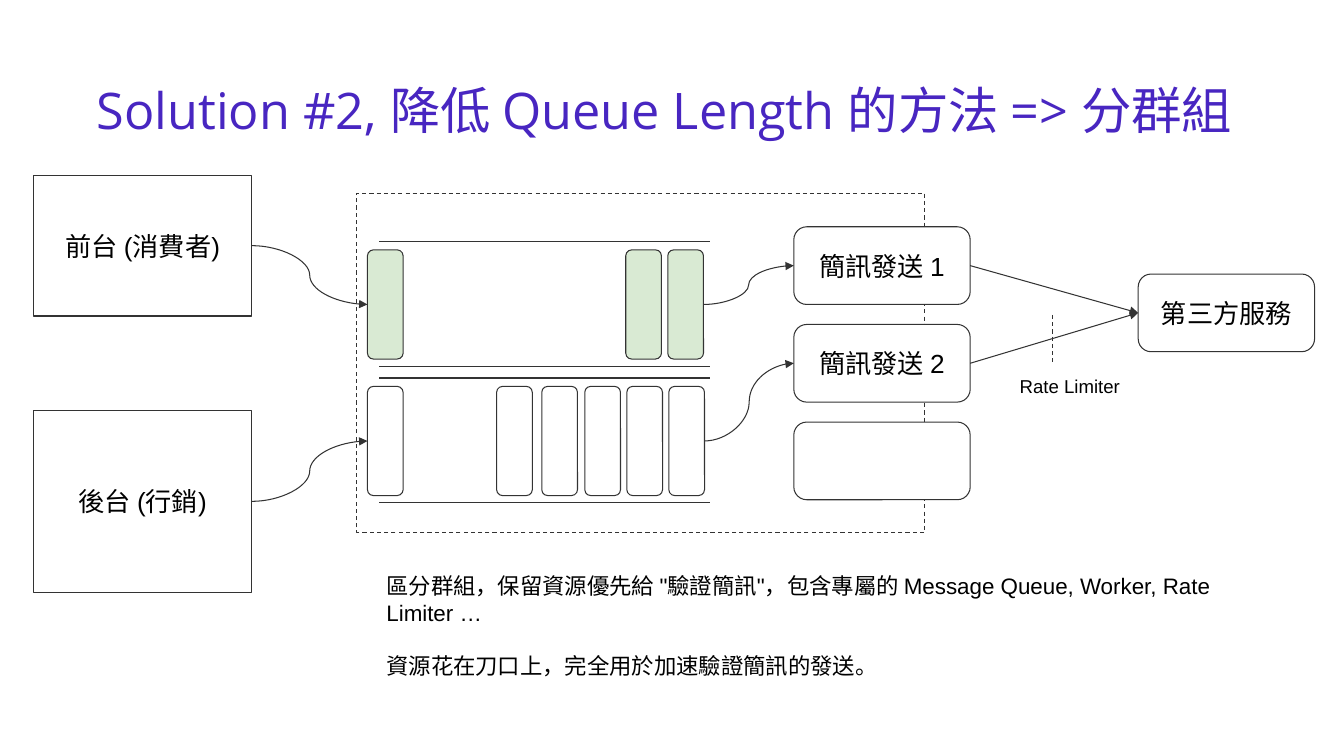
from lxml import etree
from pptx import Presentation
from pptx import util as u
from pptx.dml.color import RGBColor
from pptx.enum import dml, shapes, text
from pptx.oxml.ns import qn

PX = 9525  # EMU per px, 1280 x 720 slide
INK = RGBColor(0x33, 0x33, 0x33)
BLACK = RGBColor(0, 0, 0)
WHITE = RGBColor(0xFF, 0xFF, 0xFF)
GREEN = RGBColor(0xD9, 0xEA, 0xD3)
VIOLET = RGBColor(0x48, 0x26, 0xC1)

RECT = shapes.MSO_SHAPE.RECTANGLE
ROUND = shapes.MSO_SHAPE.ROUNDED_RECTANGLE
LINE = shapes.MSO_CONNECTOR.STRAIGHT
CURVE = shapes.MSO_CONNECTOR.CURVE
LEFT, RIGHT = 1, 3  # connection sites


def emu(*vals):
    return [u.Emu(v * PX) for v in vals]


def pad(frame, size):
    frame.margin_left = frame.margin_right = u.Emu(size * PX)
    frame.margin_top = frame.margin_bottom = u.Emu(size * PX)
    frame.word_wrap = True


def style(para, size, color=BLACK, name="Arial"):
    para.font.size = u.Pt(size)
    para.font.name = name
    para.font.color.rgb = color


def stroke(line, dash=False):
    line.color.rgb = INK
    line.width = u.Pt(0.75)
    if dash:
        line.dash_style = dml.MSO_LINE.DASH


def box(slide, kind, area, label="", fill=WHITE, dash=False):
    shape = slide.shapes.add_shape(kind, *emu(*area))
    shape.shadow.inherit = False
    shape.fill.solid()
    shape.fill.fore_color.rgb = fill
    stroke(shape.line, dash)
    if label:
        frame = shape.text_frame
        pad(frame, 12)
        frame.vertical_anchor = text.MSO_ANCHOR.MIDDLE
        para = frame.paragraphs[0]
        para.text = label
        para.alignment = text.PP_ALIGN.CENTER
        style(para, 18.7)
    return shape


def flat(wire):
    etree.SubElement(wire._element.spPr, qn("a:effectLst"))


def rule(slide, ends, dash=False):
    wire = slide.shapes.add_connector(LINE, *emu(*ends))
    stroke(wire.line, dash)
    flat(wire)


def arrow(slide, kind, start, end):
    wire = slide.shapes.add_connector(kind, 0, 0, 0, 0)
    wire.begin_connect(start, RIGHT)
    wire.end_connect(end, LEFT)
    stroke(wire.line)
    tail = etree.SubElement(wire.line._get_or_add_ln(), qn("a:tailEnd"))
    tail.set("type", "triangle")
    flat(wire)


def note(slide, area, size, lines):
    frame = slide.shapes.add_textbox(*emu(*area)).text_frame
    pad(frame, 12)
    for i, line in enumerate(lines):
        para = frame.add_paragraph() if i else frame.paragraphs[0]
        para.text = line
        style(para, size)
        if i:
            para.space_before = u.Pt(19)


def queue(slide, top, lefts, fill):
    """Two rails with message slots between; returns first and last slot."""
    for y in (top, top + 119):
        rule(slide, (361, y, 676, y))
    slots = [box(slide, ROUND, (x, top + 8, 34, 104), fill=fill)
             for x in lefts]
    return slots[0], slots[-1]


def heading(slide, words):
    title = slide.shapes.title
    title.left, title.top, title.width, title.height = emu(88, 38, 1104, 139)
    frame = title.text_frame
    pad(frame, 4)
    frame.auto_size = text.MSO_AUTO_SIZE.NONE
    frame.vertical_anchor = text.MSO_ANCHOR.MIDDLE
    para = frame.paragraphs[0]
    para.text = words
    para.alignment = text.PP_ALIGN.LEFT
    para.line_spacing = 0.9
    style(para, 36, VIOLET, "Open Sans")


def main():
    deck = Presentation()
    deck.slide_width, deck.slide_height = emu(1280, 720)
    slide = deck.slides.add_slide(deck.slide_layouts[5])
    heading(slide, "Solution #2, 降低 Queue Length 的方法 => 分群組")

    # Service boundary, workers and outside service
    box(slide, RECT, (340, 184, 541, 323), dash=True)
    names = ("簡訊發送 1", "簡訊發送 2", "")
    workers = [box(slide, ROUND, (756, 216 + 93 * i, 168, 74), name)
               for i, name in enumerate(names)]
    vendor = box(slide, ROUND, (1084, 261, 168, 74), "第三方服務")

    # Message sources
    front = box(slide, RECT, (32, 167, 208, 134), "前台 (消費者)")
    back = box(slide, RECT, (32, 391, 208, 173), "後台 (行銷)")

    # One queue per group, from source to worker to vendor
    groups = (
        (front, 230, (350, 596, 636), GREEN),
        (back, 360, (350, 473, 516, 557, 597, 637), WHITE),
    )
    for (source, top, lefts, fill), worker in zip(groups, workers):
        first, last = queue(slide, top, lefts, fill)
        arrow(slide, CURVE, source, first)
        arrow(slide, CURVE, last, worker)
        arrow(slide, LINE, worker, vendor)

    # Rate limiter mark and notes
    rule(slide, (1002, 300, 1002, 348), dash=True)
    note(slide, (959, 346, 142, 63), 13.3, ["Rate Limiter"])
    note(slide, (356, 533, 809, 63), 16, [
        "區分群組，保留資源優先給 \"驗證簡訊\"，包含專屬的 "
        "Message Queue, Worker, Rate Limiter …",
        "資源花在刀口上，完全用於加速驗證簡訊的發送。",
    ])
    deck.save("out.pptx")


if __name__ == "__main__":
    main()
